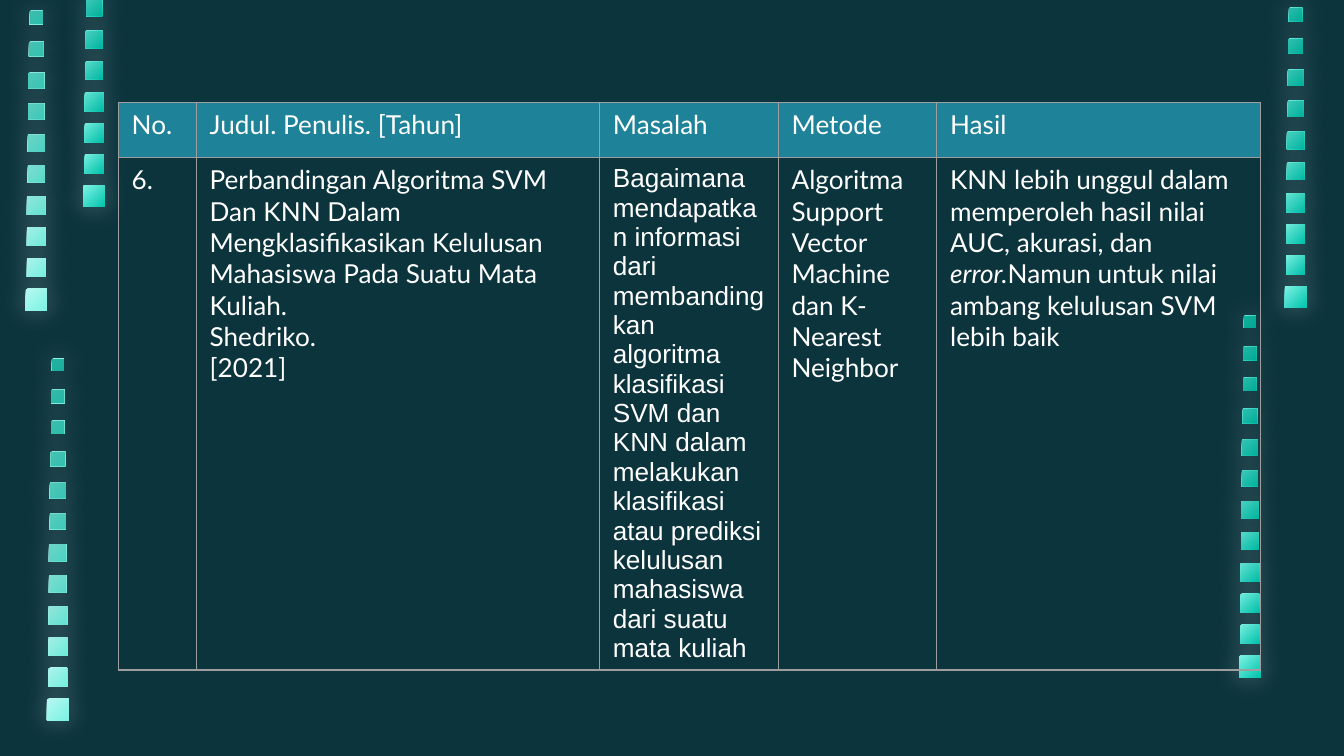
"""Build a literature review slide: one paper in a table between trails of glowing squares."""
from lxml.etree import SubElement
from pptx import Presentation
from pptx.dml.color import RGBColor
from pptx.enum.shapes import MSO_SHAPE
from pptx.oxml.ns import qn
from pptx.util import Inches, Pt

COLORS = {
    "background": "0C343D",
    "header": "1E8298",
    "border": "9E9E9E",
    "text": "FFFFFF",
    "glow": "FFFFFF",
    "pale": "B6F8F0",
    "mint": "7DF3E5",
    "teal": "02C5AE",
    "shade": "009F8C",
}
SIZES = [0.16, 0.14, 0.14, 0.14, 0.13, 0.13, 0.12, 0.12, 0.11, 0.1, 0.1, 0.09]
SHADES = [0, 5, 10, 20, 30, 40, 50, 55, 60, 65, 70, 80]
STEP = 0.23
TRAILS = [
    (9.64, 2.13, 10, "mint", "teal"),
    (0.27, 2.15, 10, "pale", "mint"),
    (9.3, 4.88, 12, "mint", "teal"),
    (0.7, 1.38, 7, "mint", "teal"),
    (0.43, 5.2, 12, "pale", "mint"),
]
COLUMNS = [0.58, 3, 1.33, 1.18, 2.41]
HEADINGS = ["No.", "Judul. Penulis. [Tahun]", "Masalah", "Metode", "Hasil"]
TITLE = ("Perbandingan Algoritma SVM Dan KNN Dalam Mengklasifikasikan "
         "Kelulusan Mahasiswa Pada Suatu Mata Kuliah.")
PROBLEM = ("Bagaimana mendapatkan informasi dari membandingkan algoritma "
           "klasifikasi SVM dan KNN dalam melakukan klasifikasi atau prediksi "
           "kelulusan mahasiswa dari suatu mata kuliah")
METHOD = "Algoritma Support Vector Machine dan K-Nearest Neighbor"
RESULT = "KNN lebih unggul dalam memperoleh hasil nilai AUC, akurasi, dan "
RESULT_END = "Namun untuk nilai ambang kelulusan SVM lebih baik"


def rgb(name):
    """Return the named colour."""
    return RGBColor.from_string(COLORS[name])


def add_run(p, text, font="Lato", size=14, color="text", italic=False):
    """Add formatted text to a paragraph."""
    r = p.add_run()
    r.text = text
    r.font.name = font
    r.font.size = Pt(size)
    r.font.italic = italic
    r.font.color.rgb = rgb(color)


def add_square(group, center, top, size):
    """Add a plain square centred on a vertical line."""
    sp = group.shapes.add_shape(MSO_SHAPE.RECTANGLE, Inches(center - size / 2),
                                Inches(top), Inches(size), Inches(size))
    sp.line.fill.background()
    sp.shadow.inherit = False
    return sp


def set_gradient(sp, start, end):
    """Fill a square diagonally from its upper left corner."""
    sp.fill.gradient()
    sp.fill.gradient_angle = 315
    for stop, name in zip(sp.fill.gradient_stops, (start, end)):
        stop.color.rgb = rgb(name)


def set_glow(sp):
    """Put a soft light shadow behind a square."""
    effects = sp.element.spPr.find(qn("a:effectLst"))
    shadow = SubElement(effects, qn("a:outerShdw"), blurRad=str(Pt(14.6)),
                        dist="0", dir="0", algn="ctr", rotWithShape="0")
    color = SubElement(shadow, qn("a:srgbClr"), val=COLORS["glow"])
    SubElement(color, qn("a:alpha"), val="31000")


def set_shade(sp, percent):
    """Fill a square with the translucent shade."""
    sp.fill.solid()
    sp.fill.fore_color.rgb = rgb("shade")
    color = sp.element.spPr.find(qn("a:solidFill")).find(qn("a:srgbClr"))
    SubElement(color, qn("a:alpha"), val=str(percent * 1000))


def add_trail(s, center, bottom, count, start, end):
    """Add a column of squares that shrink and darken upwards."""
    group = s.shapes.add_group_shape()
    squares = [(bottom - i * STEP, SIZES[i], SHADES[i]) for i in range(count)]
    for top, size, _ in squares:
        sp = add_square(group, center, top, size)
        set_gradient(sp, start, end)
        set_glow(sp)
    for top, size, shade in squares[1:]:
        set_shade(add_square(group, center, top, size), shade)


def set_borders(cell):
    """Draw a thin line on all four sides of a cell."""
    tc_pr = cell._tc.get_or_add_tcPr()
    for side in ("lnL", "lnR", "lnT", "lnB"):
        ln = SubElement(tc_pr, qn(f"a:{side}"), w=str(Pt(0.75)))
        fill = SubElement(ln, qn("a:solidFill"))
        SubElement(fill, qn("a:srgbClr"), val=COLORS["border"])


def fill_cell(cell, paragraphs, fill=None):
    """Write paragraphs, each a list of (text, format) runs, and style the cell."""
    set_borders(cell)
    if fill:
        cell.fill.solid()
        cell.fill.fore_color.rgb = rgb(fill)
    else:
        cell.fill.background()
    tf = cell.text_frame
    for i, runs in enumerate(paragraphs):
        p = tf.paragraphs[0] if i == 0 else tf.add_paragraph()
        for text, style in runs:
            add_run(p, text, **style)


def add_review_table(s):
    """Add the table with its header and the reviewed paper."""
    frame = s.shapes.add_table(2, len(COLUMNS), Inches(0.88), Inches(0.76),
                               Inches(sum(COLUMNS)), Inches(4.48))
    table = frame.table
    table.first_row = table.horz_banding = False
    for column, width in zip(table.columns, COLUMNS):
        column.width = Inches(width)
    for row in table.rows:
        row.height = Inches(0.41)
    paper = [
        [[("6.", {})]],
        [[(text, {})] for text in (TITLE, "Shedriko.", "[2021]")],
        [[(PROBLEM, {"font": "Arial"})]],
        [[(METHOD, {})]],
        [[(RESULT, {}), ("error.", {"italic": True}), (RESULT_END, {})]],
    ]
    for i, (heading, paragraphs) in enumerate(zip(HEADINGS, paper)):
        fill_cell(table.cell(0, i), [[(heading, {})]], fill="header")
        fill_cell(table.cell(1, i), paragraphs)


def main():
    """Build and save the slide."""
    prs = Presentation()
    prs.slide_width = Inches(10)
    prs.slide_height = prs.slide_width * 9 // 16
    s = prs.slides.add_slide(prs.slide_layouts[6])
    s.background.fill.solid()
    s.background.fill.fore_color.rgb = rgb("background")
    for trail in TRAILS:
        add_trail(s, *trail)
    add_review_table(s)
    prs.save("out.pptx")


if __name__ == "__main__":
    main()
